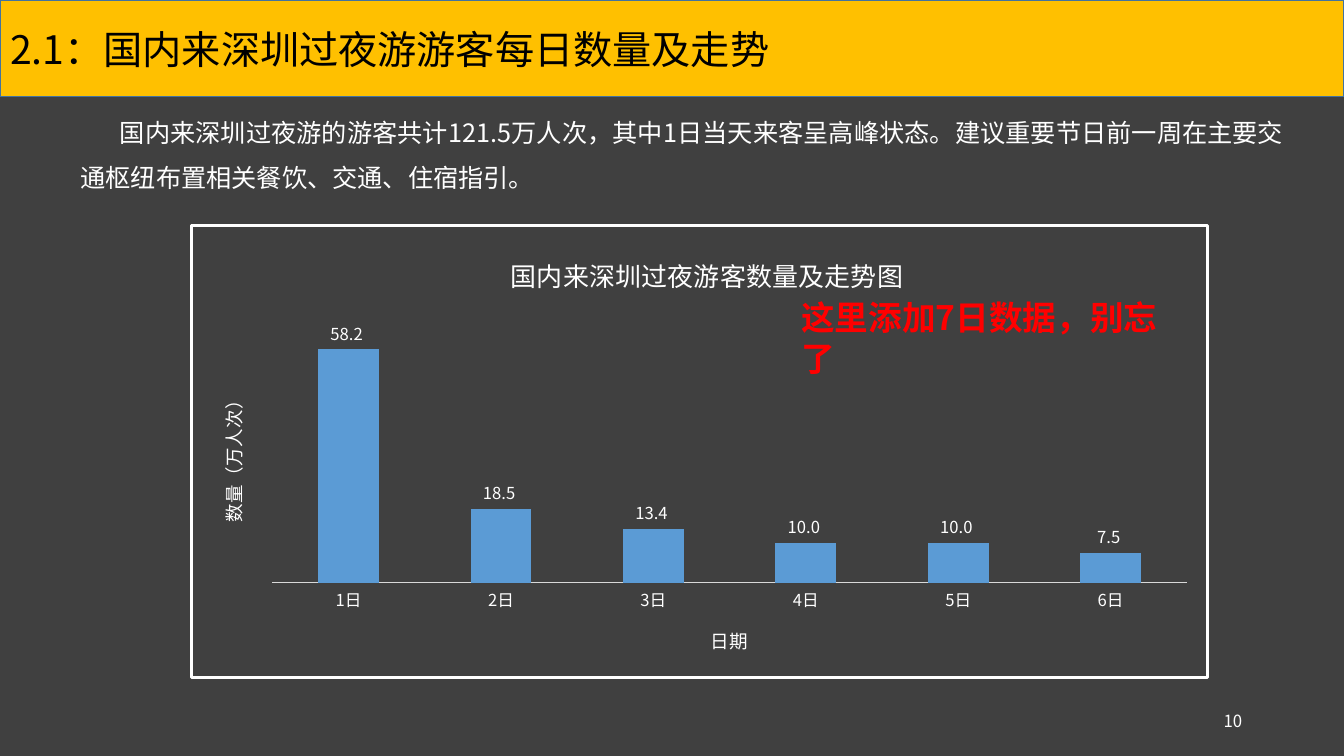
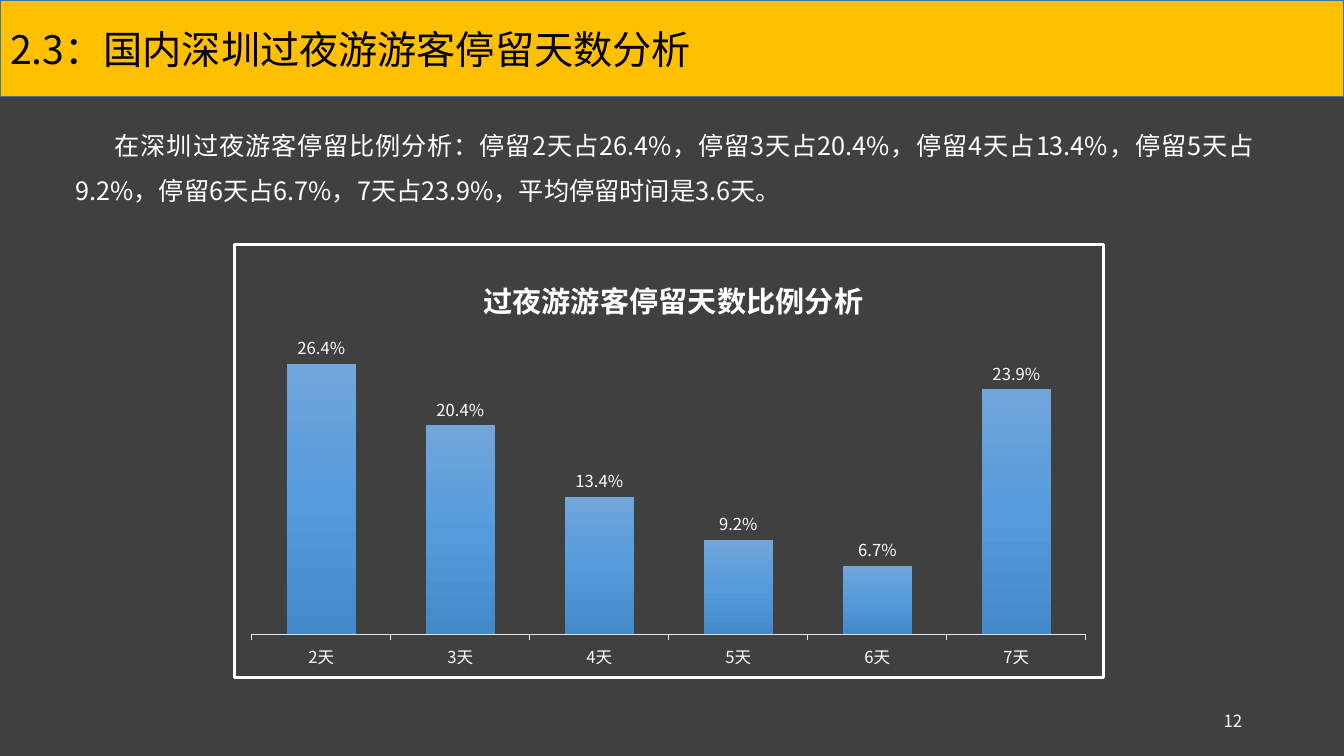
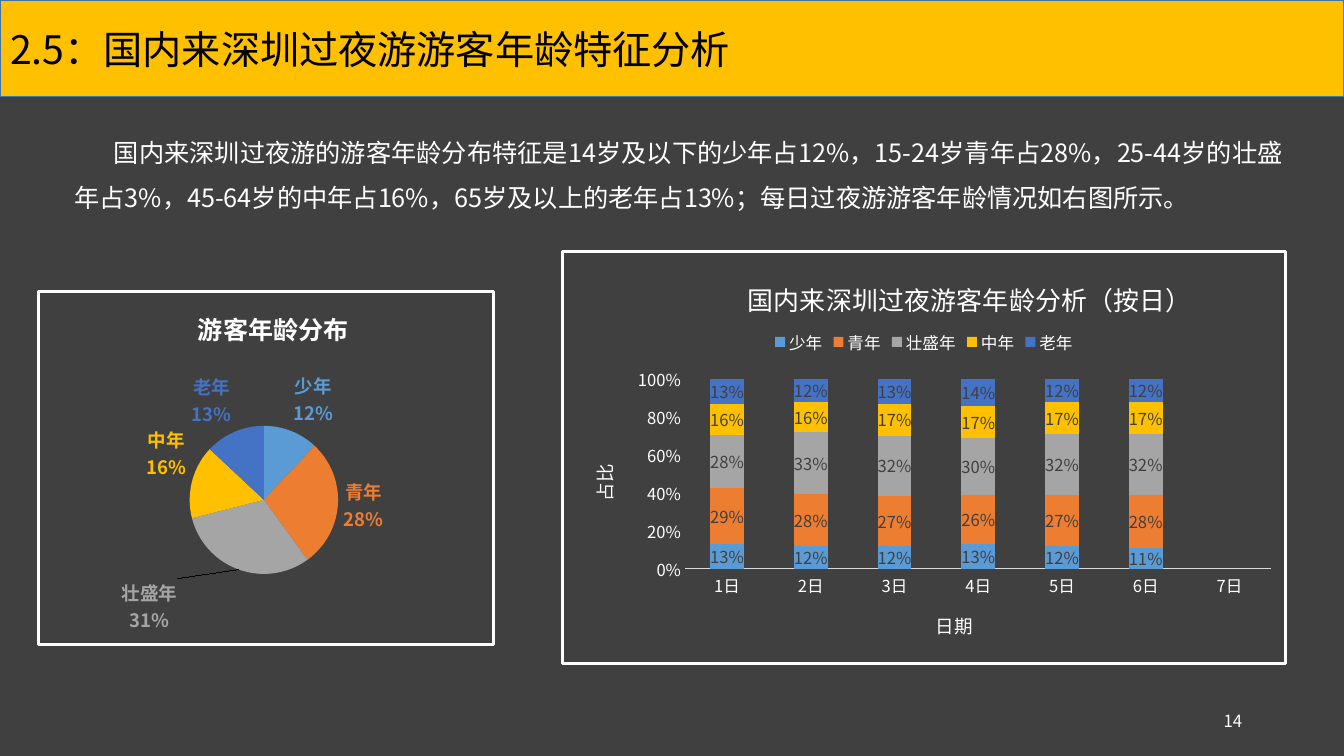
from copy import deepcopy

from pptx import Presentation
from pptx.chart.data import CategoryChartData
from pptx.dml.color import RGBColor
from pptx.enum.chart import (XL_CHART_TYPE, XL_LABEL_POSITION,
                             XL_LEGEND_POSITION, XL_TICK_MARK)
from pptx.enum.text import MSO_ANCHOR, MSO_AUTO_SIZE, PP_ALIGN
from pptx.oxml import parse_xml
from pptx.oxml.ns import nsdecls, qn
from pptx.util import Inches, Pt

COLUMN = XL_CHART_TYPE.COLUMN_CLUSTERED
STACKED = XL_CHART_TYPE.COLUMN_STACKED_100
PIE = XL_CHART_TYPE.PIE
OUTSIDE = XL_LABEL_POSITION.OUTSIDE_END
CENTER = XL_LABEL_POSITION.CENTER
LEGEND_TOP = XL_LEGEND_POSITION.TOP
NO_TICK = XL_TICK_MARK.NONE
TICK_OUT = XL_TICK_MARK.OUTSIDE
MIDDLE = MSO_ANCHOR.MIDDLE
TOP = MSO_ANCHOR.TOP
NO_FIT = MSO_AUTO_SIZE.NONE
GROW = MSO_AUTO_SIZE.SHAPE_TO_FIT_TEXT
LEFT, RIGHT, JUSTIFY = PP_ALIGN.LEFT, PP_ALIGN.RIGHT, PP_ALIGN.JUSTIFY

FONT = "Noto Sans CJK SC"
LABEL_SIZE = 11.9
AXIS_TITLE_SIZE = 13.3
COLORS = {
    "background": "404040", "band": "FFC000", "band_line": "43739E",
    "black": "000000", "white": "FFFFFF", "note": "FF0000",
    "axis": "D9D9D9", "axis_cool": "E0E5EB",
    "blue": "5B9BD5", "orange": "ED7D31", "gray": "A5A5A5",
    "gold": "FFC000", "navy": "4472C4",
    "light_top": "71A6DB", "light_middle": "559BDB", "light_bottom": "448ACA",
}
AGE_COLORS = ["blue", "orange", "gray", "gold", "navy"]
AGES = ["少年", "青年", "壮盛年", "中年", "老年"]


def rgb(name):
    return RGBColor.from_string(COLORS[name])


def style(font, size, color, bold=False):
    font.name = FONT
    font.size = Pt(size)
    font.bold = bold
    font.color.rgb = rgb(color)


def write(paragraph, text, size, color, bold=False):
    run = paragraph.add_run()
    run.text = text
    style(run.font, size, color, bold)


def add_east_asian_fonts(element):
    for latin in list(element.iter(qn("a:latin"))):
        east_asian = parse_xml(f'<a:ea {nsdecls("a")}/>')
        east_asian.set("typeface", FONT)
        latin.addnext(east_asian)


def set_layout(parent, index, modes="", **fractions):
    """Give a chart part a manual layout, as fractions of the chart."""
    old = parent.find(qn("c:layout"))
    if old is not None:
        parent.remove(old)
    values = "".join(f'<c:{key} val="{value}"/>' for key, value in fractions.items())
    parent.insert(index, parse_xml(
        f'<c:layout {nsdecls("c")}><c:manualLayout>{modes}{values}'
        '</c:manualLayout></c:layout>'))


class Deck:
    EDGE = '<c:xMode val="edge"/><c:yMode val="edge"/>'

    def __init__(self):
        self.presentation = Presentation()
        self.presentation.slide_width = Inches(13.33)
        self.presentation.slide_height = Inches(7.5)
        fill = self.presentation.slide_master.background.fill
        fill.solid()
        fill.fore_color.rgb = rgb("background")
        self.slide = None

    def new_slide(self, title, number):
        layout = self.presentation.slide_layouts.get_by_name("Title Only")
        self.slide = self.presentation.slides.add_slide(layout)
        band = self.slide.shapes.title
        band.left, band.top = Inches(0), Inches(0)
        band.width, band.height = Inches(13.33), Inches(0.96)
        band.fill.solid()
        band.fill.fore_color.rgb = rgb("band")
        band.line.color.rgb = rgb("band_line")
        band.line.width = Pt(1)
        frame = band.text_frame
        frame.auto_size = NO_FIT
        frame.vertical_anchor = MIDDLE
        frame.paragraphs[0].alignment = LEFT
        write(frame.paragraphs[0], title, 28, "black")
        self.text(number, (9.42, 6.95, 3, 0.4), 12, align=RIGHT, anchor=MIDDLE, fit=NO_FIT)

    def text(self, text, box, size, color="white", bold=False, align=LEFT,
             anchor=TOP, fit=GROW):
        shape = self.slide.shapes.add_textbox(*map(Inches, box))
        frame = shape.text_frame
        frame.word_wrap = True
        frame.auto_size = fit
        frame.vertical_anchor = anchor
        paragraph = frame.paragraphs[0]
        paragraph.alignment = align
        write(paragraph, text, size, color, bold)
        return paragraph

    def body(self, text, box):
        paragraph = self.text(text, box, 18, align=JUSTIFY)
        paragraph.line_spacing = 1.5
        properties = paragraph._p.get_or_add_pPr()
        properties.set("marL", "0")
        properties.set("indent", str(Inches(0.39)))

    def chart(self, kind, box, categories, series, title, title_size, title_at,
              plot_at, bold=False, number_format="General"):
        data = CategoryChartData(number_format=number_format)
        data.categories = categories
        for name, values in series:
            data.add_series(name, values)
        chart = self.slide.shapes.add_chart(kind, *map(Inches, box), data).chart
        style(chart.font, 10, "white")
        chart.has_legend = False
        chart.has_title = True
        write(chart.chart_title.text_frame.paragraphs[0], title, title_size, "white", bold)

        space = chart.element
        body = space.find(qn("c:chart"))
        set_layout(body.find(qn("c:title")), 1, self.EDGE,
                   **dict(zip("xy", title_at)))
        set_layout(body.find(qn("c:plotArea")), 0,
                   '<c:layoutTarget val="inner"/>' + self.EDGE,
                   **dict(zip("xywh", plot_at)))
        body.addnext(parse_xml(
            f'<c:spPr {nsdecls("c", "a")}><a:noFill/><a:ln w="{Pt(2.25)}"><a:solidFill>'
            f'<a:srgbClr val="{COLORS["white"]}"/></a:solidFill></a:ln></c:spPr>'))
        if space.find(qn("c:roundedCorners")) is None:
            index = 0 if space.find(qn("c:date1904")) is None else 1
            space.insert(index, parse_xml(
                f'<c:roundedCorners {nsdecls("c")} val="0"/>'))
        return chart

    def column_chart(self, kind, box, categories, series, title, title_size,
                     title_at, plot_at, colors, label_format, bold=False, gap=150,
                     label_color="white", label_position=OUTSIDE, maximum=None,
                     axis_color="axis", tick=NO_TICK, axis_titles=()):
        chart = self.chart(kind, box, categories, series, title, title_size,
                           title_at, plot_at, bold, label_format)
        plot = chart.plots[0]
        plot.gap_width = gap
        plot.vary_by_categories = False
        for column, color in zip(plot.series, colors):
            column.format.fill.solid()
            column.format.fill.fore_color.rgb = rgb(color)
            labels = column.data_labels
            labels.show_value = True
            labels.number_format = label_format
            labels.number_format_is_linked = False
            labels.position = label_position
            style(labels.font, LABEL_SIZE, label_color)

        category_axis, value_axis = chart.category_axis, chart.value_axis
        for axis in (category_axis, value_axis):
            axis.has_major_gridlines = False
            axis.major_tick_mark = NO_TICK
            axis.minor_tick_mark = NO_TICK
            style(axis.tick_labels.font, LABEL_SIZE, "white")
        category_axis.major_tick_mark = tick
        category_axis.format.line.color.rgb = rgb(axis_color)
        category_axis.format.line.width = Pt(0.75)
        value_axis.format.line.fill.background()
        value_axis.visible = maximum is None
        value_axis.minimum_scale = 0
        if maximum is not None:
            value_axis.maximum_scale = maximum
        value_axis.tick_labels.number_format = "0%"
        value_axis.tick_labels.number_format_is_linked = False
        for axis, text in zip((category_axis, value_axis), axis_titles):
            write(axis.axis_title.text_frame.paragraphs[0], text,
                  AXIS_TITLE_SIZE, "white")
        for properties in chart.element.xpath("//c:valAx/c:title//a:bodyPr"):
            properties.set("rot", "-5400000")
            properties.set("vert", "horz")
        return chart

    def pie_chart(self, box, categories, values, title, title_at, plot_at, colors):
        chart = self.chart(PIE, box, categories, [("占比", values)], title, 18,
                           title_at, plot_at, bold=True)
        plot = chart.plots[0]
        plot.vary_by_categories = True
        series = plot.series[0]
        labels = series.data_labels
        labels.show_value = False
        labels.show_category_name = True
        labels.show_percentage = True
        labels.number_format = "0%"
        labels.number_format_is_linked = False
        labels.position = OUTSIDE
        style(labels.font, AXIS_TITLE_SIZE, colors[0], True)
        for index, color in enumerate(colors):
            point = series.points[index]
            point.format.fill.solid()
            point.format.fill.fore_color.rgb = rgb(color)
            style(point.data_label.font, AXIS_TITLE_SIZE, color, True)
            point.data_label.position = OUTSIDE
        for label in chart.element.iter(qn("c:dLbl")):
            for tag, shown in (("showVal", 0), ("showCatName", 1), ("showPercent", 1)):
                label.find(qn(f"c:{tag}")).set("val", str(shown))
            label.append(parse_xml(
                f'<c:separator {nsdecls("c")}>\n</c:separator>'))
        return chart

    def save(self):
        for slide in self.presentation.slides:
            add_east_asian_fonts(slide.element)
            for shape in slide.shapes:
                if shape.has_chart:
                    add_east_asian_fonts(shape.chart.element)
        self.presentation.save("out.pptx")


def fill_with_gradient(chart, names):
    """Fill the first series downwards with evenly spaced colours."""
    fill = chart.plots[0].series[0].format.fill
    fill.gradient()
    fill.gradient_angle = 270
    stops = next(chart.element.iter(qn("a:gsLst")))
    while len(stops) < len(names):
        stops.append(deepcopy(stops[-1]))
    for index, (stop, name) in enumerate(zip(fill.gradient_stops, names)):
        stop.position = index / (len(names) - 1)
        stop.color.rgb = rgb(name)


def daily_visitors(deck):
    deck.new_slide("2.1：国内来深圳过夜游游客每日数量及走势", "10")
    deck.column_chart(
        COLUMN, (1.88, 2.22, 10.11, 4.52), [f"{day}日" for day in range(1, 7)],
        [("数量", [58.2, 18.5, 13.4, 10, 10, 7.5])],
        "国内来深圳过夜游客数量及走势图", 18.6, (0.31, 0.05), (0.08, 0.17, 0.9, 0.62),
        ["blue"], "0.0_ ", maximum=70, axis_titles=("日期", "数量（万人次）"))
    deck.body("国内来深圳过夜游的游客共计121.5万人次，其中1日当天来客呈高峰状态。"
              "建议重要节日前一周在主要交通枢纽布置相关餐饮、交通、住宿指引。",
              (0.7, 0.96, 12.13, 1.01))
    deck.text("这里添加7日数据，别忘了", (7.85, 2.9, 3.85, 0.91), 24, "note", True)


def length_of_stay(deck):
    deck.new_slide("2.3：国内深圳过夜游游客停留天数分析", "12")
    deck.body("在深圳过夜游客停留比例分析：停留2天占26.4%，停留3天占20.4%，"
              "停留4天占13.4%，停留5天占9.2%，停留6天占6.7%，7天占23.9%，"
              "平均停留时间是3.6天。", (0.65, 1.09, 11.88, 1.01))
    chart = deck.column_chart(
        COLUMN, (2.31, 2.41, 8.65, 4.33), [f"{days}天" for days in range(2, 8)],
        [("比例", [0.264, 0.204, 0.134, 0.092, 0.067, 0.239])],
        "过夜游游客停留天数比例分析", 20.9, (0.28, 0.06), (0.02, 0.19, 0.96, 0.71),
        ["blue"], "0.0%", bold=True, gap=100, maximum=0.3,
        axis_color="axis_cool", tick=TICK_OUT)
    fill_with_gradient(chart, ["light_top", "light_middle", "light_bottom"])


def age_groups(deck):
    deck.new_slide("2.5：国内来深圳过夜游游客年龄特征分析", "14")
    deck.body("国内来深圳过夜游的游客年龄分布特征是14岁及以下的少年占12%，"
              "15-24岁青年占28%，25-44岁的壮盛年占3%，45-64岁的中年占16%，"
              "65岁及以上的老年占13%；每日过夜游游客年龄情况如右图所示。",
              (0.64, 1.16, 12.18, 1.46))
    daily_shares = [
        [0.13, 0.12, 0.12, 0.13, 0.12, 0.11, None],
        [0.29, 0.28, 0.27, 0.26, 0.27, 0.28, None],
        [0.28, 0.33, 0.32, 0.3, 0.32, 0.32, None],
        [0.16, 0.16, 0.17, 0.17, 0.17, 0.17, None],
        [0.13, 0.12, 0.13, 0.14, 0.12, 0.12, None],
    ]
    stacked = deck.column_chart(
        STACKED, (5.56, 2.48, 7.21, 4.12), [f"{day}日" for day in range(1, 8)],
        list(zip(AGES, daily_shares)), "国内来深圳过夜游客年龄分析（按日）", 18.6,
        (0.25, 0.05), (0.17, 0.31, 0.81, 0.46), AGE_COLORS, "0%",
        label_color="background", label_position=CENTER, axis_titles=("日期", "占比"))
    stacked.plots[0].overlap = 100
    stacked.has_legend = True
    stacked.legend.position = LEGEND_TOP
    stacked.legend.include_in_layout = False
    style(stacked.legend.font, LABEL_SIZE, "white")

    pie = deck.pie_chart((0.37, 2.88, 4.54, 3.53), AGES, [12, 28, 31, 16, 13],
                         "游客年龄分布", (0.34, 0.03), (0.33, 0.38, 0.33, 0.42), AGE_COLORS)
    prime_age_label = list(pie.element.iter(qn("c:dLbl")))[2]
    set_layout(prime_age_label, 1, x=-0.13, y=0.01)


def main():
    deck = Deck()
    daily_visitors(deck)
    length_of_stay(deck)
    age_groups(deck)
    deck.save()


if __name__ == "__main__":
    main()
